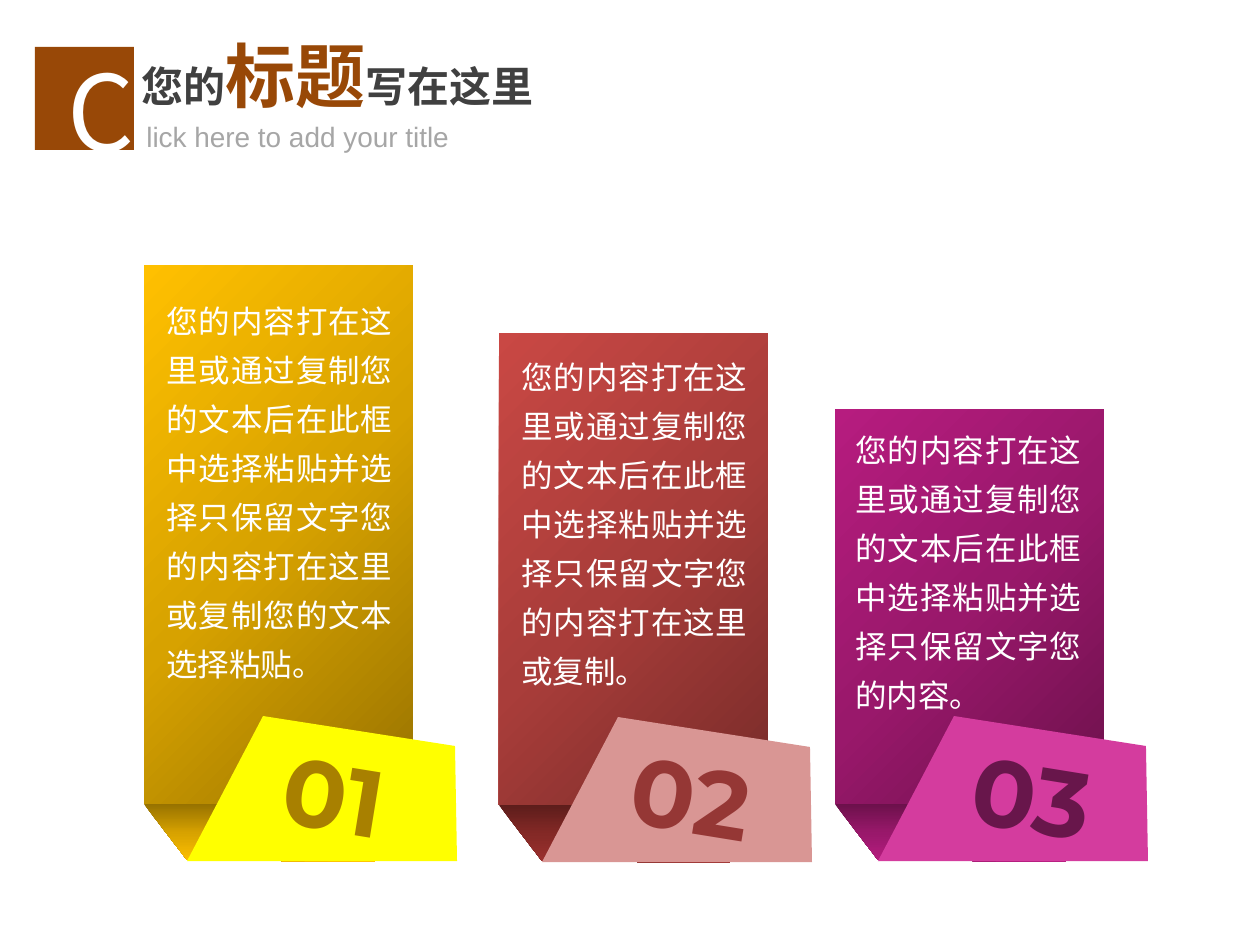
from dataclasses import dataclass

from lxml.etree import SubElement
from pptx import Presentation
from pptx.dml.color import RGBColor
from pptx.enum.shapes import MSO_SHAPE
from pptx.enum.text import MSO_ANCHOR, MSO_AUTO_SIZE as AutoSize, PP_ALIGN as Align
from pptx.oxml.ns import qn
from pptx.util import Emu, Pt

SCALE = 914400 / 126


@dataclass(frozen=True)
class Theme:
    brown: str = "984807"
    dark: str = "404040"
    gray: str = "A6A6A6"
    white: str = "FFFFFF"
    cjk: str = "Noto Sans CJK SC"
    heading: str = "Noto Sans CJK JP"
    latin: str = "Arial"
    digits: str = "Montserrat"
    initial_size: int = 60
    number_size: int = 54
    accent_size: int = 40
    title_size: int = 24
    body_size: int = 18
    subtitle_size: int = 16


@dataclass(frozen=True)
class Banner:
    number: str
    text: str
    left: int
    top: int
    fold_top: int
    text_box: tuple
    number_left: int
    ribbon_colors: tuple
    fold_colors: tuple
    tab_color: str
    number_color: str
    radial: bool = False


def px(value):
    return Emu(round(value * SCALE))


class SlideBuilder:
    def __init__(self, slide, theme):
        self.slide = slide
        self.theme = theme

    def style_font(self, font, name, size, color, bold=False):
        font.name = name
        font.size = Pt(size)
        font.bold = bold
        font.color.rgb = RGBColor.from_string(color)
        SubElement(font._rPr, qn("a:ea"), typeface=name)

    def paint(self, shape, color):
        shape.shadow.inherit = False
        shape.line.fill.background()
        shape.fill.solid()
        shape.fill.fore_color.rgb = RGBColor.from_string(color)

    def paint_gradient(self, shape, colors, angle, radial=False):
        shape.shadow.inherit = False
        shape.line.fill.background()
        shape.fill.gradient()
        gradient = shape._element.spPr.find(qn("a:gradFill"))
        for child in list(gradient):
            gradient.remove(child)
        stops = SubElement(gradient, qn("a:gsLst"))
        for position, color in zip((0, 50000, 100000), colors):
            stop = SubElement(stops, qn("a:gs"), pos=str(position))
            SubElement(stop, qn("a:srgbClr"), val=color)
        if radial:
            circle = SubElement(gradient, qn("a:path"), path="circle")
            SubElement(circle, qn("a:fillToRect"), l="100000", t="100000")
        else:
            SubElement(gradient, qn("a:lin"), ang=str(angle * 60000), scaled="0")

    def rectangle(self, left, top, width, height):
        return self.slide.shapes.add_shape(
            MSO_SHAPE.RECTANGLE, px(left), px(top), px(width), px(height))

    def polygon(self, left, top, offsets):
        points = [(left + x, top + y) for x, y in offsets]
        builder = self.slide.shapes.build_freeform(*points[0], scale=SCALE)
        builder.add_line_segments(points[1:], close=True)
        return builder.convert_to_shape()

    def text(self, box, text, name, size, color, bold=False, align=Align.LEFT,
             spacing=None, rotation=0):
        shape = self.slide.shapes.add_textbox(*map(px, box))
        shape.rotation = rotation
        frame = shape.text_frame
        frame.word_wrap = True
        frame.auto_size = AutoSize.SHAPE_TO_FIT_TEXT
        paragraph = frame.paragraphs[0]
        paragraph.text = text
        paragraph.alignment = align
        paragraph.line_spacing = spacing
        self.style_font(paragraph.font, name, size, color, bold)

    def title(self, box, parts):
        shape = self.slide.shapes.title
        shape.left, shape.top, shape.width, shape.height = map(px, box)
        frame = shape.text_frame
        frame.word_wrap = True
        frame.auto_size = AutoSize.SHAPE_TO_FIT_TEXT
        frame.vertical_anchor = MSO_ANCHOR.TOP
        paragraph = frame.paragraphs[0]
        paragraph.alignment = Align.LEFT
        for text, size, color in parts:
            run = paragraph.add_run()
            run.text = text
            self.style_font(run.font, self.theme.heading, size, color, True)

    def header(self):
        theme = self.theme
        self.title((129, 26, 440, 97), (
            ("您的", theme.title_size, theme.dark),
            ("标题", theme.accent_size, theme.brown),
            ("写在这里", theme.title_size, theme.dark)))
        self.paint(self.rectangle(35, 47, 99, 103), theme.brown)
        self.text((134, 113, 440, 47), "lick here to add your title",
                  theme.latin, theme.subtitle_size, theme.gray)
        self.text((55, 40, 100, 140), "C", theme.cjk, theme.initial_size, theme.white)

    def banner(self, banner):
        theme = self.theme
        left, bottom = banner.left, banner.fold_top
        fold = self.polygon(left, bottom, ((0, 0), (231, 0), (231, 58), (43, 56)))
        self.paint_gradient(fold, banner.fold_colors, 90)
        ribbon = self.rectangle(left, banner.top, 269, bottom - banner.top)
        self.paint_gradient(ribbon, banner.ribbon_colors, 225, banner.radial)
        tab = self.polygon(left + 43, bottom - 88,
                           ((76, 0), (268, 30), (270, 145), (0, 145)))
        self.paint(tab, banner.tab_color)
        self.text((banner.number_left, 735, 179, 127), banner.number, theme.digits,
                  theme.number_size, banner.number_color, True, rotation=9.2)
        self.text(banner.text_box, banner.text, theme.cjk, theme.body_size,
                  theme.white, align=Align.JUSTIFY, spacing=1.3)


def main():
    presentation = Presentation()
    presentation.slide_width = px(1260)
    presentation.slide_height = px(945)
    slide = presentation.slides.add_slide(presentation.slide_layouts[5])
    builder = SlideBuilder(slide, Theme())
    builder.header()

    opening = "您的内容打在这里或通过复制您的文本后在此框中选择粘贴并选择只保留文字您的内容"
    gold = ("977200", "D7A200", "FFC000")
    purple = ("6C114B", "99186B", "B61C7F")
    banners = (
        Banner("01", opening + "打在这里或复制您的文本选择粘贴。", 144, 266, 804,
               (154, 284, 251, 410), 271, gold, gold, "FFFF00", "A88000"),
        Banner("02", opening + "打在这里或复制。", 499, 333, 805,
               (509, 340, 251, 360), 619, ("772B29", "A93D3A", "C94844"),
               ("5D1D1B", "842926", "9C302E"), "D99694", "953735", True),
        Banner("03", opening + "。", 835, 410, 804,
               (843, 413, 251, 310), 960, purple, purple, "D43C9E", "68164B"),
    )
    for banner in banners:
        builder.banner(banner)
    presentation.save("out.pptx")


if __name__ == "__main__":
    main()
